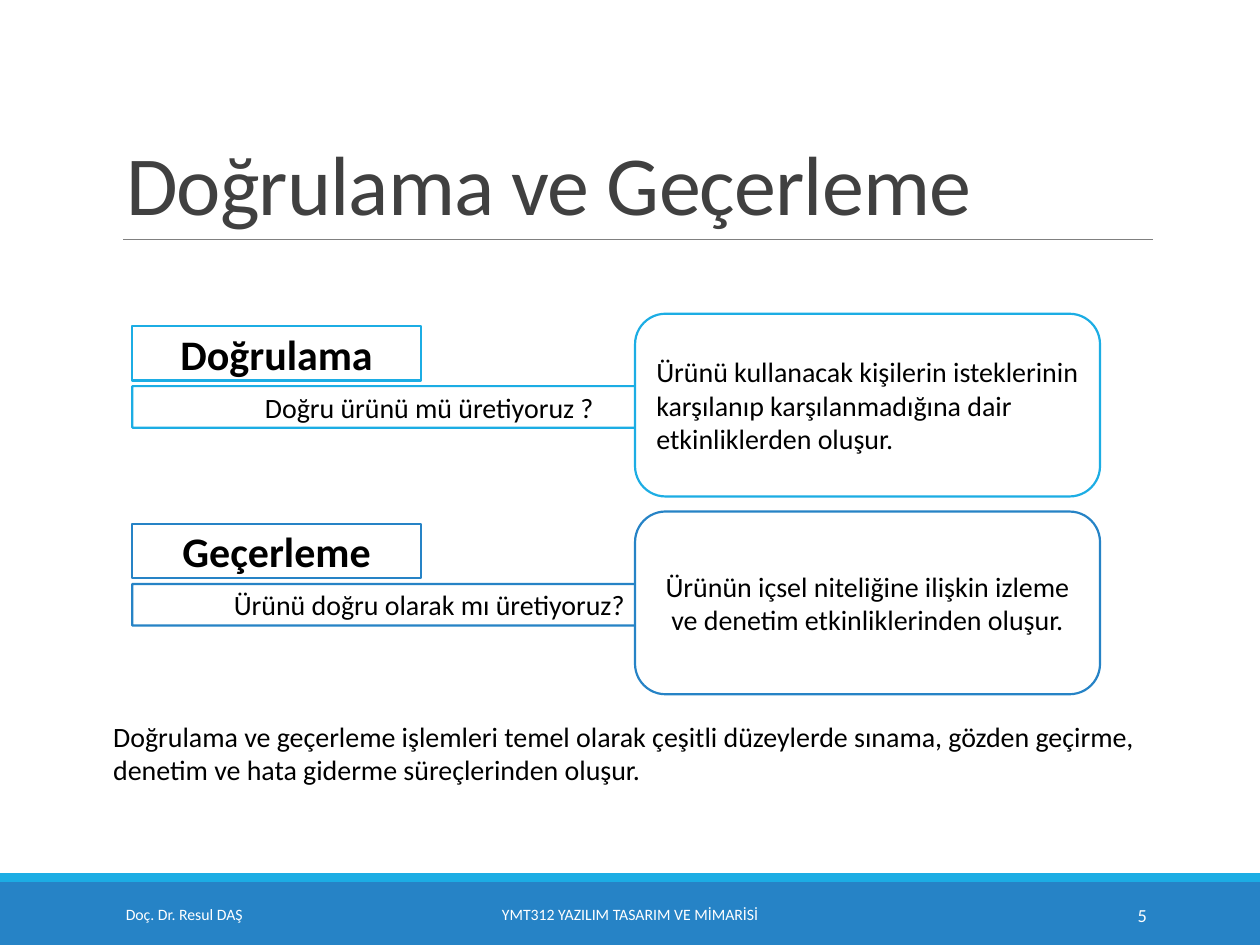
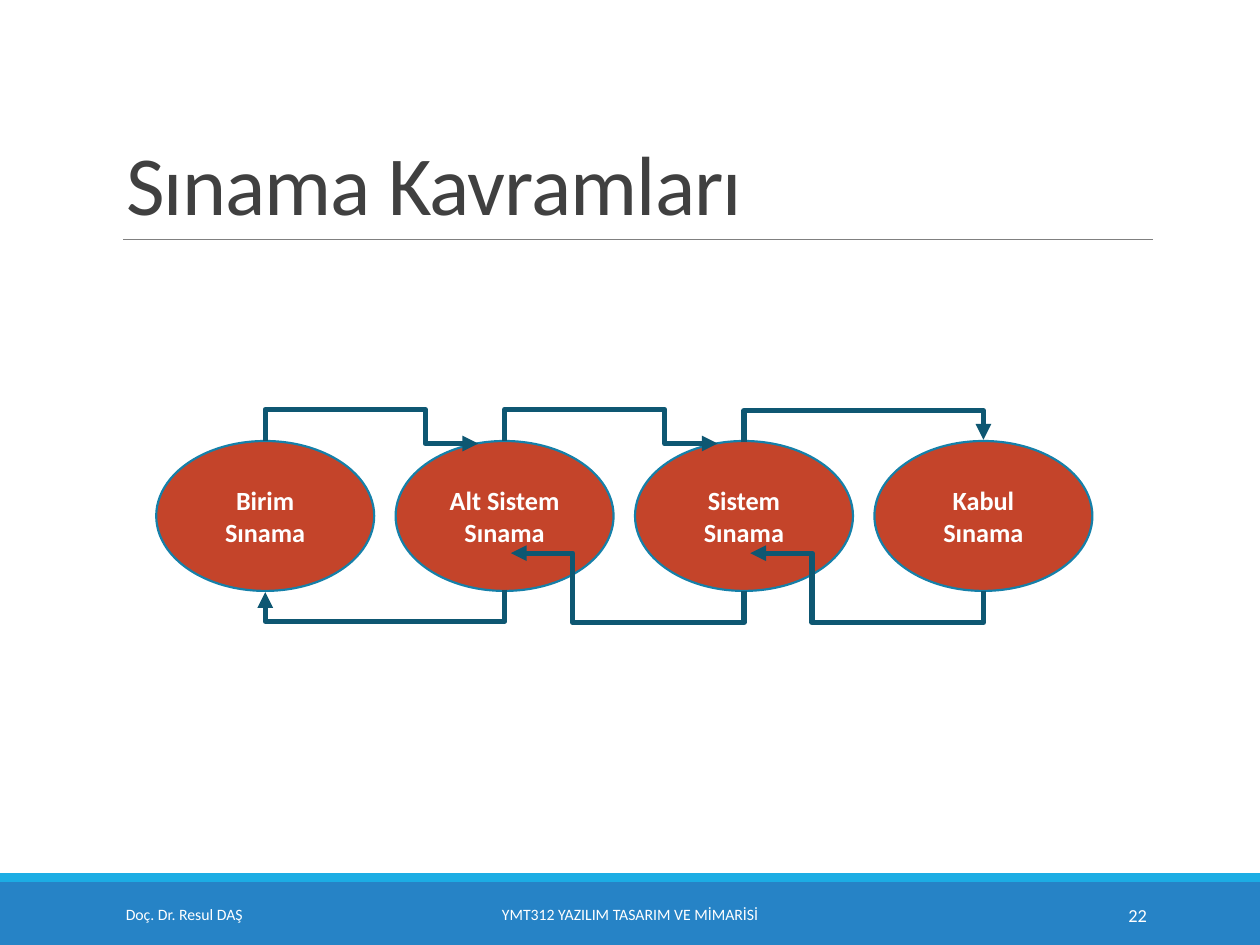
from lxml.etree import SubElement
from pptx import Presentation
from pptx.dml.color import RGBColor
from pptx.enum.shapes import MSO_CONNECTOR as Link, MSO_SHAPE as Kind
from pptx.enum.text import MSO_ANCHOR as Anchor, PP_ALIGN as Align
from pptx.oxml.ns import qn
from pptx.util import Inches, Pt

WHITE = RGBColor(0xFF, 0xFF, 0xFF)
BLACK = RGBColor(0x00, 0x00, 0x00)
DARK = RGBColor(0x40, 0x40, 0x40)
GRAY = RGBColor(0x80, 0x80, 0x80)
SKY = RGBColor(0x1C, 0xAD, 0xE4)
BLUE = RGBColor(0x26, 0x83, 0xC6)
RUST = RGBColor(0xC4, 0x44, 0x2A)
EDGE = RGBColor(0x15, 0x80, 0xA9)
TEAL = RGBColor(0x0E, 0x57, 0x72)

FONT = "Calibri"
TITLE = {"size": Pt(48), "color": DARK, "spacing": 0.85}
SMALL = {"size": Pt(9), "color": WHITE}
COUNT = {"size": Pt(10.5), "color": WHITE, "align": Align.RIGHT}
HEAD = {"size": Pt(24), "bold": True, "align": Align.CENTER}
BODY = {"size": Pt(16)}
MID = {**BODY, "align": Align.CENTER}
NODE = {"size": Pt(15), "bold": True, "color": WHITE, "align": Align.CENTER}


def inches(box):
    return [Inches(v) for v in box]


def write(shape, text, style, anchor=Anchor.MIDDLE):
    frame = shape.text_frame
    frame.word_wrap = True
    frame.vertical_anchor = anchor
    frame.text = text
    look = {"align": Align.LEFT, "color": BLACK, "bold": False, **style}
    for para in frame.paragraphs:
        para.alignment = look["align"]
        if "spacing" in look:
            para.line_spacing = look["spacing"]
        for run in para.runs:
            run.font.name = FONT
            run.font.color.rgb = look["color"]
            for key in ("size", "bold"):
                setattr(run.font, key, look[key])


def draw(slide, kind, box, fill, edge=None):
    shape = slide.shapes.add_shape(kind, *inches(box))
    shape.shadow.inherit = False
    shape.fill.solid()
    shape.fill.fore_color.rgb = fill
    if edge is None:
        shape.line.fill.background()
    else:
        shape.line.color.rgb = edge
        shape.line.width = Pt(1.25)
    return shape


def label(slide, box, text, style, anchor=Anchor.MIDDLE):
    write(slide.shapes.add_textbox(*inches(box)), text, style, anchor)


def join(slide, kind, start, end, color, width):
    line = slide.shapes.add_connector(kind, *inches(start + end))
    line.line.color.rgb = color
    line.line.width = Pt(width)
    SubElement(line._element.spPr, qn("a:effectLst"))
    return line


def bend(slide, start, end, bus, turn=None):
    line = join(slide, Link.ELBOW, start, end, TEAL, 3)
    (x, y), (right, low) = start, end
    dx, dy = right - x, low - y
    wide, high = abs(dy), abs(dx)
    line.left, line.top, line.width, line.height = inches(
        ((x + right - wide) / 2, (y + low - high) / 2, wide, high))
    form = line._element.spPr.find(qn("a:xfrm"))
    state = {"rot": (270 if dx > 0 and dy > 0 else 90) * 60000,
             "flipH": int(dx > 0 or dy < 0),
             "flipV": int(dx > 0 and dy < 0)}
    for key, value in state.items():
        form.set(key, str(value))
    ratios = [(bus - y) / dy]
    if turn is not None:
        ratios.append((turn - x) / dx)
    geom = line._element.spPr.find(qn("a:prstGeom"))
    geom.set("prst", f"bentConnector{len(ratios) + 2}")
    guides = geom.find(qn("a:avLst"))
    for i, ratio in enumerate(ratios, 1):
        SubElement(guides, qn("a:gd"), name=f"adj{i}",
                   fmla=f"val {round(ratio * 100000)}")
    SubElement(line.line._get_or_add_ln(), qn("a:tailEnd"), type="triangle")


def footer(slide, number, left=0, top=6.93, width=10):
    draw(slide, Kind.RECTANGLE, (left, top + 0.07, width, 0.5), BLUE)
    draw(slide, Kind.RECTANGLE, (left, top, width, 0.07), SKY)
    row = top + 0.13
    label(slide, (left + 0.9, row, 2.03, 0.4), "Doç. Dr. Resul DAŞ", SMALL)
    label(slide, (left + 3.02, row, 3.96, 0.4),
          "YMT312 YAZILIM TASARIM VE MİMARİSİ",
          {**SMALL, "align": Align.CENTER})
    label(slide, (left + 8.12, row, 1.08, 0.4), str(number), COUNT)


def start(deck, text, number):
    slide = deck.slides.add_slide(deck.slide_layouts[5])
    title = slide.shapes.title
    title.left, title.top, title.width, title.height = inches(
        (0.9, 0.31, 8.25, 1.59))
    write(title, text, TITLE, Anchor.BOTTOM)
    for run in title.text_frame.paragraphs[0].runs:
        run._r.get_or_add_rPr().set("spc", "-50")
    join(slide, Link.STRAIGHT, (0.98, 1.9), (9.15, 1.9), GRAY, 0.5)
    footer(slide, number)
    return slide


def panel(slide, left, top, edge, head, ask, answer, style):
    parts = [
        (Kind.RECTANGLE, (left, top + 0.1, 2.29, 0.43), head, HEAD),
        (Kind.RIGHT_ARROW, (left, top + 0.41, 4.88, 0.66), ask, MID),
        (Kind.ROUNDED_RECTANGLE, (left + 3.99, top, 3.69, 1.45), answer, style),
    ]
    for kind, box, text, look in parts:
        write(draw(slide, kind, box, WHITE, edge), text, look)


def checks(deck):
    slide = start(deck, "Doğrulama ve Geçerleme", 5)
    rows = [
        (SKY, "Doğrulama", "Doğru ürünü mü üretiyoruz ?",
         "Ürünü kullanacak kişilerin isteklerinin karşılanıp "
         "karşılanmadığına dair etkinliklerden oluşur.", BODY),
        (BLUE, "Geçerleme", "Ürünü doğru olarak mı üretiyoruz?",
         "Ürünün içsel niteliğine ilişkin izleme ve denetim "
         "etkinliklerinden oluşur.", MID),
    ]
    for i, row in enumerate(rows):
        panel(slide, 1.05, 2.49 + i * 1.57, *row)
    label(slide, (0.8, 5.66, 9.82, 0.66),
          "Doğrulama ve geçerleme işlemleri temel olarak çeşitli düzeylerde "
          "sınama, gözden geçirme,\n"
          "denetim ve hata giderme süreçlerinden oluşur.", BODY, Anchor.TOP)


def flow(slide, left, top):
    step, wide, high = 1.9, 1.73, 1.19
    for i, name in enumerate(("Birim", "Alt Sistem", "Sistem", "Kabul")):
        oval = draw(slide, Kind.OVAL, (left + i * step, top, wide, high),
                    RUST, EDGE)
        write(oval, f"{name} Sınama", NODE)
    mids = [left + wide / 2 + i * step for i in range(4)]
    base = top + high
    over, under = top - 0.25, base + 0.25
    for x in mids[:2]:
        bend(slide, (x, top), (x + 1.69, top + 0.02), over, x + 1.27)
    bend(slide, (mids[2], top + 0.01), (mids[3], top - 0.01), over + 0.01)
    bend(slide, (mids[1], base - 0.01), (mids[0], base + 0.01), under - 0.01)
    for x in mids[2:]:
        bend(slide, (x, base), (x - 1.85, base - 0.3), under, x - 1.36)


def tests(deck):
    slide = start(deck, "Sınama Kavramları", 22)
    flow(slide, 1.24, 3.5)


def main():
    deck = Presentation()
    deck.slide_width, deck.slide_height = inches((10, 7.5))
    checks(deck)
    tests(deck)
    deck.save("out.pptx")


if __name__ == "__main__":
    main()
